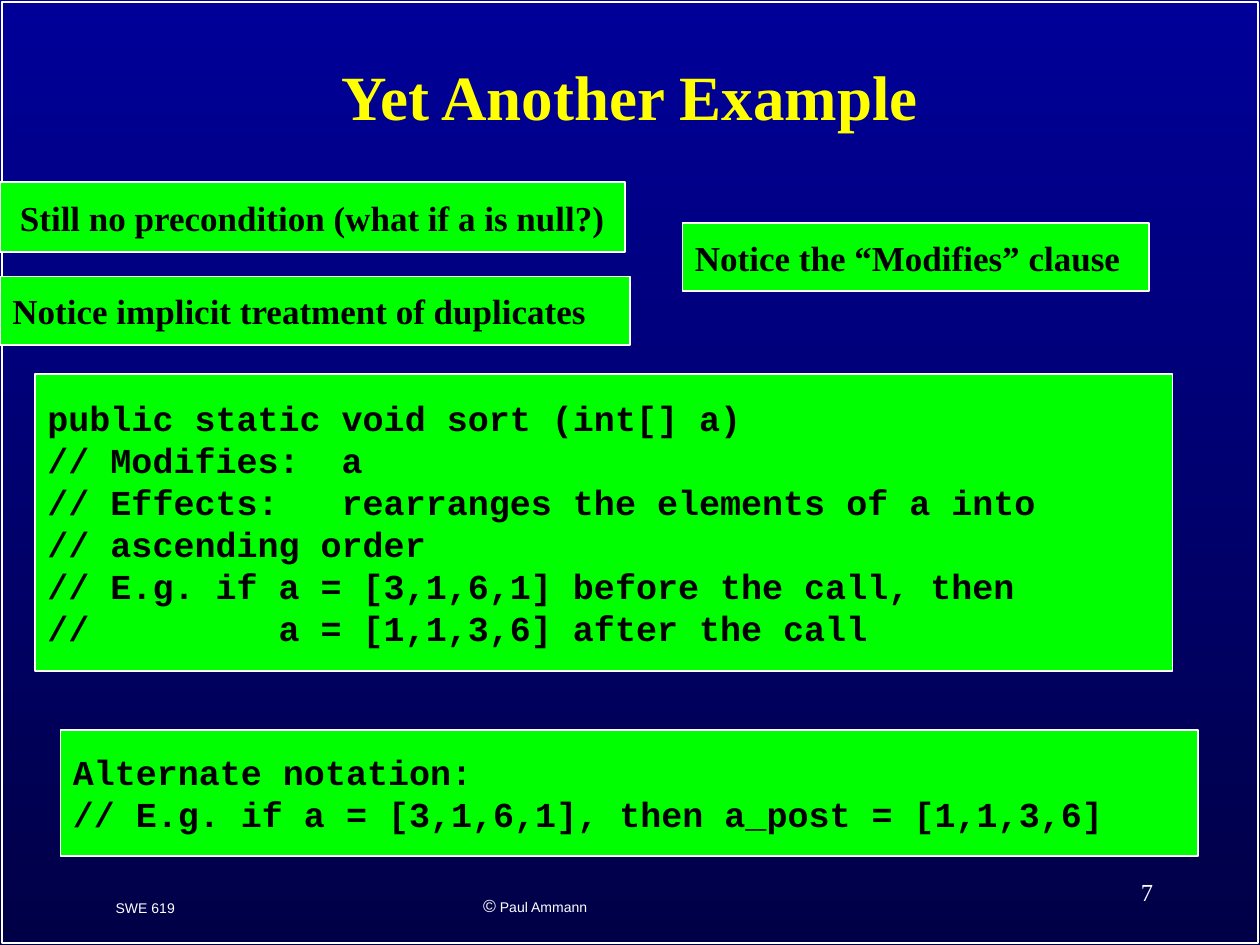
from pptx import Presentation
from pptx.dml.color import RGBColor
from pptx.enum.shapes import MSO_SHAPE
from pptx.enum.text import MSO_ANCHOR, PP_ALIGN
from pptx.util import Pt

RECTANGLE = MSO_SHAPE.RECTANGLE
TOP, MIDDLE = MSO_ANCHOR.TOP, MSO_ANCHOR.MIDDLE
LEFT, CENTER, RIGHT = PP_ALIGN.LEFT, PP_ALIGN.CENTER, PP_ALIGN.RIGHT

COLORS = {
    "sky": "000099",
    "night": "000047",
    "title": "FFFF00",
    "panel": "00FF00",
    "ink": "000000",
    "white": "FFFFFF",
}
SERIF, SANS, MONO = "Times New Roman", "Arial", "Courier New"

SORT_SPEC = [
    "public static void sort (int[] a)",
    "// Modifies:  a",
    "// Effects:   rearranges the elements of a into",
    "// ascending order",
    "// E.g. if a = [3,1,6,1] before the call, then",
    "//         a = [1,1,3,6] after the call",
]
ALTERNATE_SPEC = [
    "Alternate notation:",
    "// E.g. if a = [3,1,6,1], then a_post = [1,1,3,6]",
]


def rgb(name):
    return RGBColor.from_string(COLORS[name])


def style_font(font, face, size, color, bold=False):
    font.name, font.size, font.bold = face, Pt(size), bold
    font.color.rgb = rgb(color)


def write_lines(frame, lines, face, size, color, bold=False,
                align=LEFT, anchor=MIDDLE):
    frame.word_wrap = True
    frame.vertical_anchor = anchor
    for index, line in enumerate(lines):
        paragraph = frame.paragraphs[0] if index == 0 else frame.add_paragraph()
        paragraph.text = line
        paragraph.alignment = align
        style_font(paragraph.font, face, size, color, bold)


def add_label(slide, box, text, face, size, color, **layout):
    frame = slide.shapes.add_textbox(*map(Pt, box)).text_frame
    write_lines(frame, [text], face, size, color, **layout)
    return frame


def add_outlined_box(slide, box):
    outlined = slide.shapes.add_shape(RECTANGLE, *map(Pt, box))
    outlined.shadow.inherit = False
    outlined.fill.background()
    outlined.line.color.rgb = rgb("white")
    outlined.line.width = Pt(1)
    return outlined


def add_panel(slide, box, lines, face, align=LEFT):
    panel = add_outlined_box(slide, box)
    panel.fill.solid()
    panel.fill.fore_color.rgb = rgb("panel")
    write_lines(panel.text_frame, lines, face, 20, "ink", bold=True, align=align)


def add_backdrop(slide, width, height):
    fill = slide.background.fill
    fill.gradient()
    fill.gradient_angle = 270
    for stop, color in zip(fill.gradient_stops, ("sky", "night")):
        stop.color.rgb = rgb(color)
    add_outlined_box(slide, (1, 1, width - 2, height - 2))


def add_footer(slide, left, top):
    add_label(slide, (left, top + 19, 52, 17), "SWE 619", SANS, 8, "white",
              anchor=TOP)
    credit = add_label(slide, (left + 210, top + 16.5, 80, 39), "©", SANS, 10,
                       "white", anchor=TOP)
    author = credit.paragraphs[0].add_run()
    author.text = " Paul Ammann"
    author.font.size = Pt(8)
    add_label(slide, (left + 457, top, 150, 36), "7", SERIF, 14, "white",
              align=RIGHT)


def add_title(slide, box):
    frame = add_label(slide, box, "Yet Another Example", SERIF, 36, "title",
                      bold=True, align=CENTER)
    frame.paragraphs[0].line_spacing = 0.9


def add_remarks(slide, left, top):
    add_panel(slide, (left, top, 357, 40),
              ["Still no precondition (what if a is null?)"], SERIF, CENTER)
    add_panel(slide, (left, top + 54, 360, 39),
              ["Notice implicit treatment of duplicates"], SERIF)
    add_panel(slide, (left + 390, top + 23.5, 266.5, 39),
              ["Notice the “Modifies” clause"], SERIF)


def main():
    width, height = 720, 540
    deck = Presentation()
    deck.slide_width, deck.slide_height = Pt(width), Pt(height)
    slide = deck.slides.add_slide(deck.slide_layouts[6])

    add_backdrop(slide, width, height)
    add_footer(slide, 59, 491.5)
    add_title(slide, (54, 12, 612, 90))
    add_panel(slide, (20, 213.5, 650, 170), SORT_SPEC, MONO)
    add_remarks(slide, 0, 104)
    add_panel(slide, (34.5, 417, 650, 72), ALTERNATE_SPEC, MONO)
    deck.save("out.pptx")


if __name__ == "__main__":
    main()
